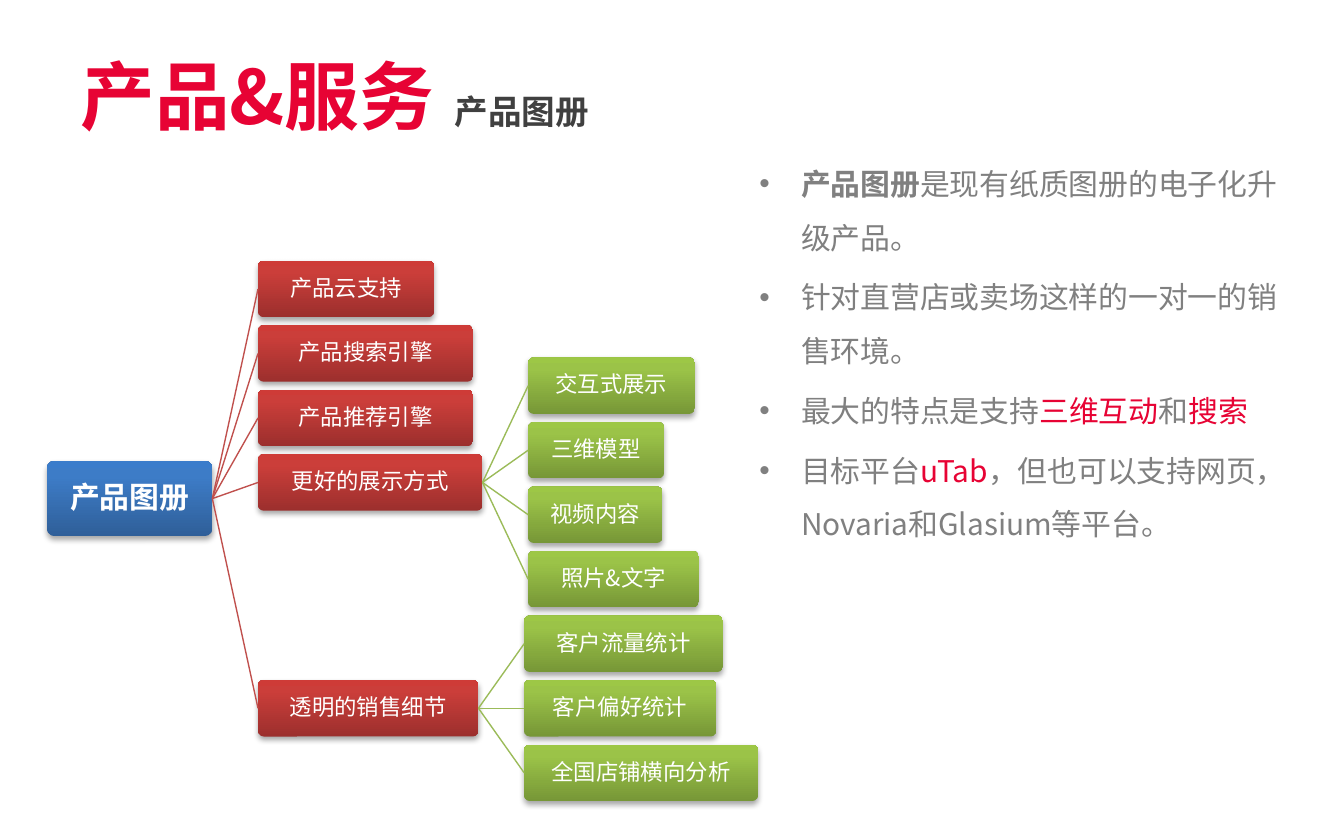
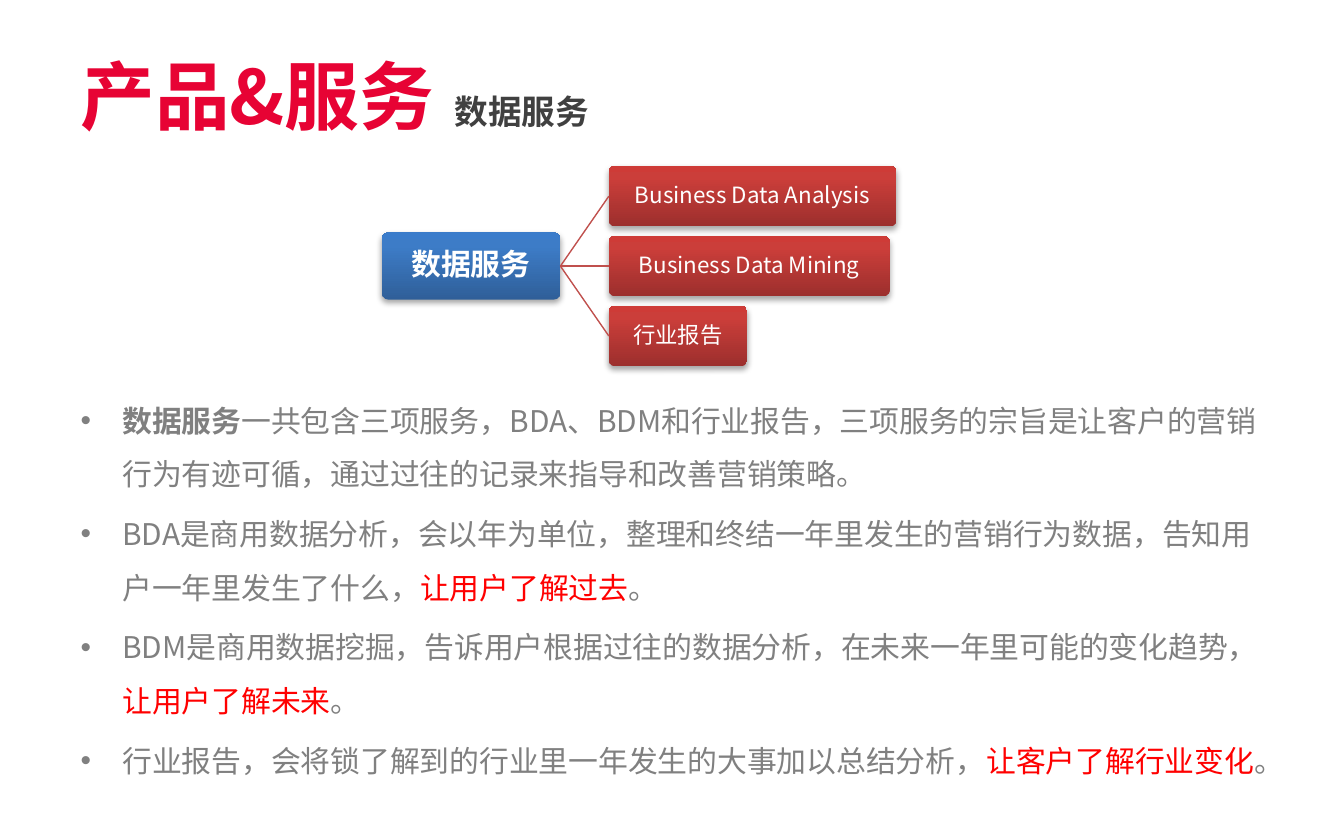
from dataclasses import dataclass

from lxml import etree
from pptx import Presentation
from pptx import util as u
from pptx.dml.color import RGBColor
from pptx.enum import shapes, text
from pptx.oxml import ns, parse_xml


@dataclass(frozen=True)
class Tier:
    stops: tuple[str, str, str]
    line: str
    size: int
    bold: bool = False


@dataclass(frozen=True)
class Theme:
    font: str = "Noto Sans CJK SC"
    brand: str = "E70334"
    alert: str = "FF0000"
    dark: str = "404040"
    gray: str = "808080"
    white: str = "FFFFFF"
    head: int = 40
    space: int = 48
    sub: int = 18
    body: int = 16
    tiers: tuple[Tier, ...] = (
        Tier(("2F5F99", "3D7CC7", "3A7CCB"), "C0504D", 16, True),
        Tier(("9C2F2D", "CB3E3A", "CE3B37"), "C0504D", 12),
        Tier(("779737", "9BC348", "9DC746"), "9BBB59", 12),
    )


THEME = Theme()


@dataclass(frozen=True)
class Bit:
    text: str
    color: str = THEME.gray
    bold: bool = False


@dataclass(frozen=True)
class Node:
    label: str
    width: float
    kids: tuple["Node", ...] = ()
    rows: tuple[float, ...] = ()


@dataclass(frozen=True)
class Tree:
    root: Node
    left: float
    mid: float
    gap: float
    pitch: float
    tall: tuple[float, ...]


@dataclass(frozen=True)
class Page:
    topic: str
    tree: Tree
    area: tuple[float, float, float, float]
    items: tuple[tuple[Bit, ...], ...]


PAGES = (
    Page(
        "产品图册",
        Tree(
            Node("产品图册", 1.23, (
                Node("产品云支持", 1.31),
                Node("产品搜索引擎", 1.6),
                Node("产品推荐引擎", 1.6),
                Node("更好的展示方式", 1.67, (
                    Node("交互式展示", 1.24),
                    Node("三维模型", 1.01),
                    Node("视频内容", 1.0),
                    Node("照片&文字", 1.27),
                )),
                Node("透明的销售细节", 1.64, (
                    Node("客户流量统计", 1.48),
                    Node("客户偏好统计", 1.43),
                    Node("全国店铺横向分析", 1.74),
                )),
            ), (0, 1, 2, 3, 6.5)),
            left=0.35, mid=3.71, gap=0.34, pitch=0.48, tall=(0.56, 0.42, 0.42),
        ),
        (5.55, 1.05, 4.17, 3.02),
        (
            (Bit("产品图册", bold=True), Bit("是现有纸质图册的电子化升级产品。")),
            (Bit("针对直营店或卖场这样的一对一的销售环境。"),),
            (Bit("最大的特点是支持"), Bit("三维互动", THEME.brand),
             Bit("和"), Bit("搜索", THEME.brand)),
            (Bit("目标平台"), Bit("uTab", THEME.brand),
             Bit("，但也可以支持网页，Novaria和Glasium等平台。")),
        ),
    ),
    Page(
        "数据服务",
        Tree(
            Node("数据服务", 1.33, (
                Node("Business Data Analysis", 2.14),
                Node("Business Data Mining", 2.09),
                Node("行业报告", 1.03),
            )),
            left=2.84, mid=1.98, gap=0.36, pitch=0.52, tall=(0.5, 0.45),
        ),
        (0.5, 2.81, 9.11, 3.07),
        (
            (Bit("数据服务", bold=True),
             Bit("一共包含三项服务，BDA、BDM和行业报告，三项服务的宗旨是让客户的"
                 "营销行为有迹可循，通过过往的记录来指导和改善营销策略。")),
            (Bit("BDA是商用数据分析，会以年为单位，整理和终结一年里发生的营销行为"
                 "数据，告知用户一年里发生了什么，"),
             Bit("让用户了解过去", THEME.alert), Bit("。")),
            (Bit("BDM是商用数据挖掘，告诉用户根据过往的数据分析，在未来一年里可能"
                 "的变化趋势，"),
             Bit("让用户了解未来", THEME.alert), Bit("。")),
            (Bit("行业报告，会将锁了解到的行业里一年发生的大事加以总结分析，"),
             Bit("让客户了解行业变化", THEME.alert), Bit("。")),
        ),
    ),
)


def style(run, size: int, color: str, bold: bool) -> None:
    font = run.font
    font.size = u.Pt(size)
    font.bold = bold
    font.color.rgb = RGBColor.from_string(color)
    font.name = THEME.font
    east = etree.SubElement(run._r.get_or_add_rPr(), ns.qn("a:ea"))
    east.set("typeface", THEME.font)


def place(shape, area: tuple[float, float, float, float]) -> None:
    shape.left, shape.top, shape.width, shape.height = map(u.Inches, area)


def paint(shape, tier: Tier) -> None:
    shape.line.fill.background()
    shape.fill.gradient()
    stops = "".join(
        f'<a:gs pos="{pos}"><a:srgbClr val="{color}"/></a:gs>'
        for pos, color in zip((0, 80000, 100000), tier.stops)
    )
    props = shape._element.spPr
    props.replace(props.find(ns.qn("a:gradFill")), parse_xml(
        f'<a:gradFill {ns.nsdecls("a")} rotWithShape="1"><a:gsLst>{stops}</a:gsLst>'
        '<a:lin ang="16200000" scaled="0"/></a:gradFill>'
    ))
    shape.shadow.inherit = False
    props.find(ns.qn("a:effectLst")).append(parse_xml(
        f'<a:outerShdw {ns.nsdecls("a")} blurRad="40000" dist="23000" dir="5400000" '
        'rotWithShape="0"><a:srgbClr val="000000"><a:alpha val="35000"/>'
        '</a:srgbClr></a:outerShdw>'
    ))


def box(slide, node: Node, left: float, mid: float, tall: float, tier: Tier):
    shape = slide.shapes.add_shape(
        shapes.MSO_SHAPE.ROUNDED_RECTANGLE, u.Inches(left),
        u.Inches(mid - tall / 2), u.Inches(node.width), u.Inches(tall),
    )
    shape.adjustments[0] = 0.1
    paint(shape, tier)
    frame = shape.text_frame
    frame.text = node.label
    frame.word_wrap = True
    frame.vertical_anchor = text.MSO_ANCHOR.MIDDLE
    frame.margin_left = frame.margin_right = u.Inches(0.02)
    frame.margin_top = frame.margin_bottom = u.Inches(0.02)
    para = frame.paragraphs[0]
    para.alignment = text.PP_ALIGN.CENTER
    para.line_spacing = 0.9
    para.space_after = u.Pt(tier.size * 0.35)
    style(para.runs[0], tier.size, THEME.white, tier.bold)
    return shape


def join(slide, start, end, color: str) -> None:
    link = slide.shapes.add_connector(shapes.MSO_CONNECTOR.STRAIGHT, 0, 0, 0, 0)
    link.begin_connect(start, 3)
    link.end_connect(end, 1)
    link.line.color.rgb = RGBColor.from_string(color)
    link.line.width = u.Pt(0.75)
    etree.SubElement(link._element.spPr, ns.qn("a:effectLst"))


def grow(slide, tree: Tree, node: Node, left: float, mid: float, depth: int = 0):
    shape = box(slide, node, left, mid, tree.tall[depth], THEME.tiers[depth])
    rows = node.rows or tuple(range(len(node.kids)))
    for row, kid in zip(rows, node.kids):
        shift = (row - (rows[0] + rows[-1]) / 2) * tree.pitch
        child = grow(slide, tree, kid, left + node.width + tree.gap,
                     mid + shift, depth + 1)
        join(slide, shape, child, THEME.tiers[depth + 1].line)
    return shape


def head(slide, topic: str) -> None:
    title = slide.shapes.title
    place(title, (0.5, 0.21, 4.69, 0.91))
    frame = title.text_frame
    frame.word_wrap = True
    frame.auto_size = text.MSO_AUTO_SIZE.SHAPE_TO_FIT_TEXT
    frame.vertical_anchor = text.MSO_ANCHOR.TOP
    para = frame.paragraphs[0]
    para.alignment = text.PP_ALIGN.LEFT
    for words, size, color in (
        ("产品&服务", THEME.head, THEME.brand),
        (" ", THEME.space, THEME.brand),
        (topic, THEME.sub, THEME.dark),
    ):
        run = para.add_run()
        run.text = words
        style(run, size, color, True)


def fill(slide, page: Page) -> None:
    body = slide.placeholders[1]
    place(body, page.area)
    frame = body.text_frame
    frame.word_wrap = True
    frame.auto_size = text.MSO_AUTO_SIZE.NONE
    for index, item in enumerate(page.items):
        para = frame.add_paragraph() if index else frame.paragraphs[0]
        para.line_spacing = 1.5
        props = para._p.get_or_add_pPr()
        props.set("marL", str(u.Inches(0.31)))
        props.set("indent", str(u.Inches(-0.31)))
        for bit in item:
            run = para.add_run()
            run.text = bit.text
            style(run, THEME.body, bit.color, bit.bold)


def main() -> None:
    deck = Presentation()
    deck.slide_width, deck.slide_height = u.Inches(10), u.Inches(6.25)
    for page in PAGES:
        slide = deck.slides.add_slide(deck.slide_layouts[1])
        head(slide, page.topic)
        fill(slide, page)
        grow(slide, page.tree, page.tree.root, page.tree.left, page.tree.mid)
    deck.save("out.pptx")


if __name__ == "__main__":
    main()
